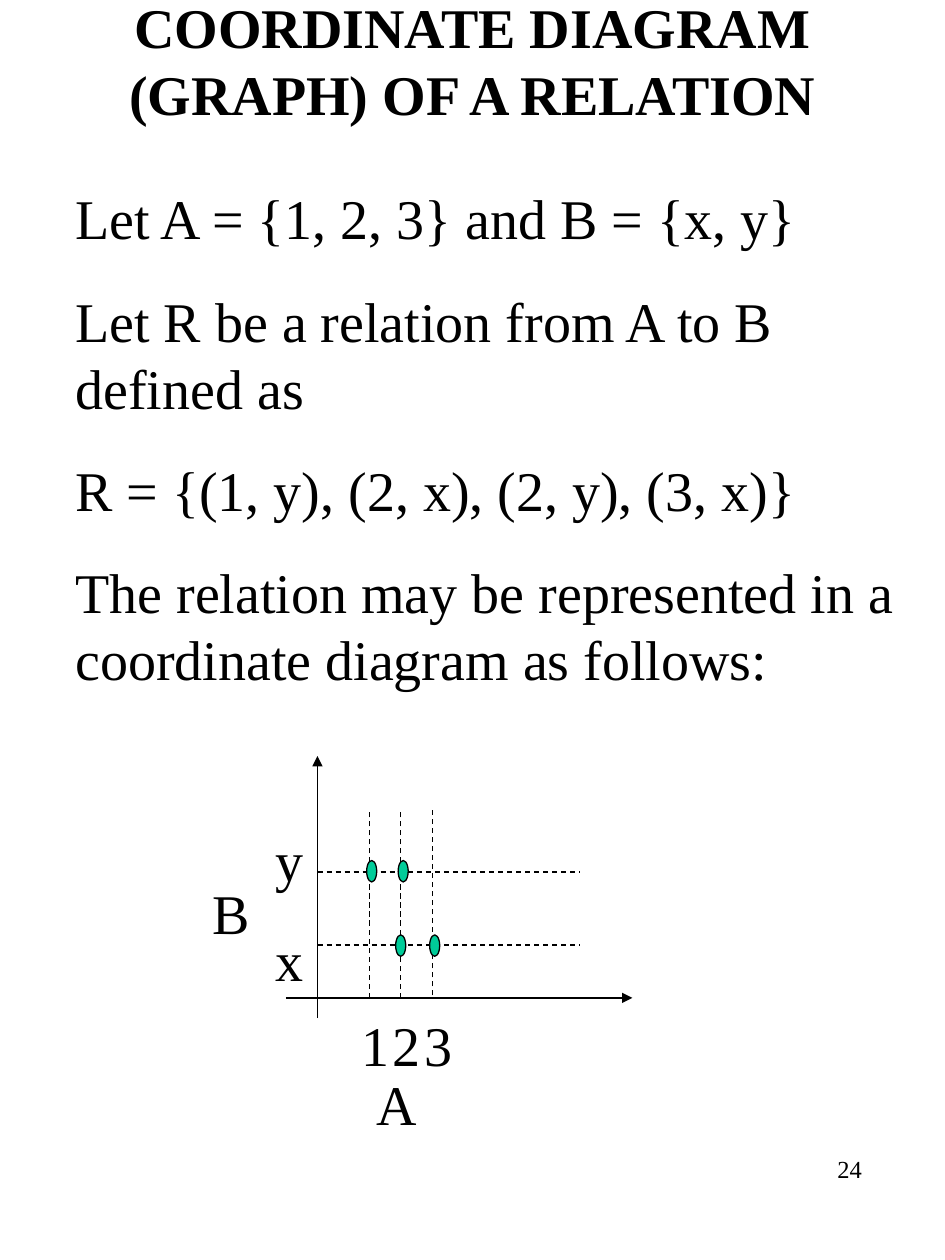
"""Builds the slide on the coordinate diagram of a relation."""
from lxml import etree
from pptx import Presentation
from pptx.dml.color import RGBColor
from pptx.enum.dml import MSO_LINE
from pptx.enum.shapes import MSO_CONNECTOR, MSO_SHAPE
from pptx.enum.text import MSO_ANCHOR, PP_ALIGN
from pptx.oxml.ns import qn
from pptx.util import Inches, Pt

DASH = MSO_LINE.DASH
STRAIGHT = MSO_CONNECTOR.STRAIGHT
ELLIPSE = MSO_SHAPE.OVAL
TOP, MIDDLE = MSO_ANCHOR.TOP, MSO_ANCHOR.MIDDLE
LEFT, CENTER, RIGHT = PP_ALIGN.LEFT, PP_ALIGN.CENTER, PP_ALIGN.RIGHT

COLORS = {"ink": "000000", "paper": "FFFFFF", "dot": "00CC99"}


class RelationSlide:
    font = "Times New Roman"
    line_width = Pt(0.75)

    def __init__(self, deck):
        self.slide = deck.slides.add_slide(deck.slide_layouts[6])
        background = self.slide.background.fill
        background.solid()
        background.fore_color.rgb = self.color("paper")

    def color(self, name):
        return RGBColor.from_string(COLORS[name])

    def text(self, left, top, width, height, paragraphs, size=32, bold=False,
             align=LEFT, anchor=TOP, wrap=True, indent=0, before=0):
        box = self.slide.shapes.add_textbox(
            Inches(left), Inches(top), Inches(width), Inches(height))
        frame = box.text_frame
        frame.word_wrap = wrap
        frame.vertical_anchor = anchor
        for index, words in enumerate(paragraphs):
            paragraph = frame.add_paragraph() if index else frame.paragraphs[0]
            paragraph.alignment = align
            paragraph.space_before = Pt(before)
            if indent:
                paragraph.level = 1
                properties = paragraph._p.get_or_add_pPr()
                properties.set("marL", str(Inches(indent)))
                properties.set("indent", "0")
            run = paragraph.add_run()
            run.text = words
            run.font.name = self.font
            run.font.size = Pt(size)
            run.font.bold = bold
            run.font.color.rgb = self.color("ink")

    def label(self, left, top, words, width=0.42):
        self.text(left, top, width, 0.64, [words], wrap=False)

    def outline(self, line):
        line.color.rgb = self.color("ink")
        line.width = self.line_width

    def line(self, start, end, arrow=False):
        x1, y1, x2, y2 = map(Inches, (*start, *end))
        connector = self.slide.shapes.add_connector(STRAIGHT, x1, y1, x2, y2)
        self.outline(connector.line)
        if arrow:
            stroke = connector.line._get_or_add_ln()
            etree.SubElement(stroke, qn("a:tailEnd"), type="triangle")
        else:
            connector.line.dash_style = DASH
        etree.SubElement(connector._element.spPr, qn("a:effectLst"))

    def dot(self, left, top):
        point = self.slide.shapes.add_shape(
            ELLIPSE, Inches(left), Inches(top), Inches(0.08), Inches(0.17))
        point.shadow.inherit = False
        point.fill.solid()
        point.fill.fore_color.rgb = self.color("dot")
        self.outline(point.line)


def main():
    deck = Presentation()
    deck.slide_width, deck.slide_height = Inches(7.5), Inches(10)
    page = RelationSlide(deck)

    page.text(5.38, 9.11, 1.56, 0.67, ["24"], size=14, align=RIGHT)
    page.text(0, 0.17, 7.5, 0.61, ["COORDINATE DIAGRAM (GRAPH) OF A RELATION"],
              bold=True, align=CENTER, anchor=MIDDLE)
    page.text(0, 1.41, 7.5, 4.14, [
        "Let A = {1, 2, 3} and B = {x, y}",
        "Let R be a relation from A to B defined as",
        "R = {(1, y), (2, x), (2, y), (3, x)}",
        "The relation may be represented in a coordinate diagram as follows:",
    ], indent=0.5, before=20)

    origin_x, origin_y = 2.52, 7.92
    page.label(2.09, 7.3, "x")
    page.label(2.09, 6.5, "y")
    page.label(1.59, 6.92, "B", 0.49)
    for index, number in enumerate("123"):
        page.label(2.77 + 0.25 * index, 7.97, number)
    page.label(2.89, 8.44, "A", 0.52)

    page.line((origin_x, 8.08), (origin_x, 6), arrow=True)
    page.line((2.27, origin_y), (5.02, origin_y), arrow=True)
    for row in (7.5, 6.92):
        page.line((origin_x, row), (4.6, row))
    for column, foot in ((2.93, origin_y), (3.18, origin_y), (3.43, 7.9)):
        page.line((column, foot), (column, foot - 1.5))

    for top, lefts in ((7.42, (3.14, 3.41)), (6.83, (2.91, 3.16))):
        for left in lefts:
            page.dot(left, top)

    deck.save("out.pptx")


if __name__ == "__main__":
    main()
